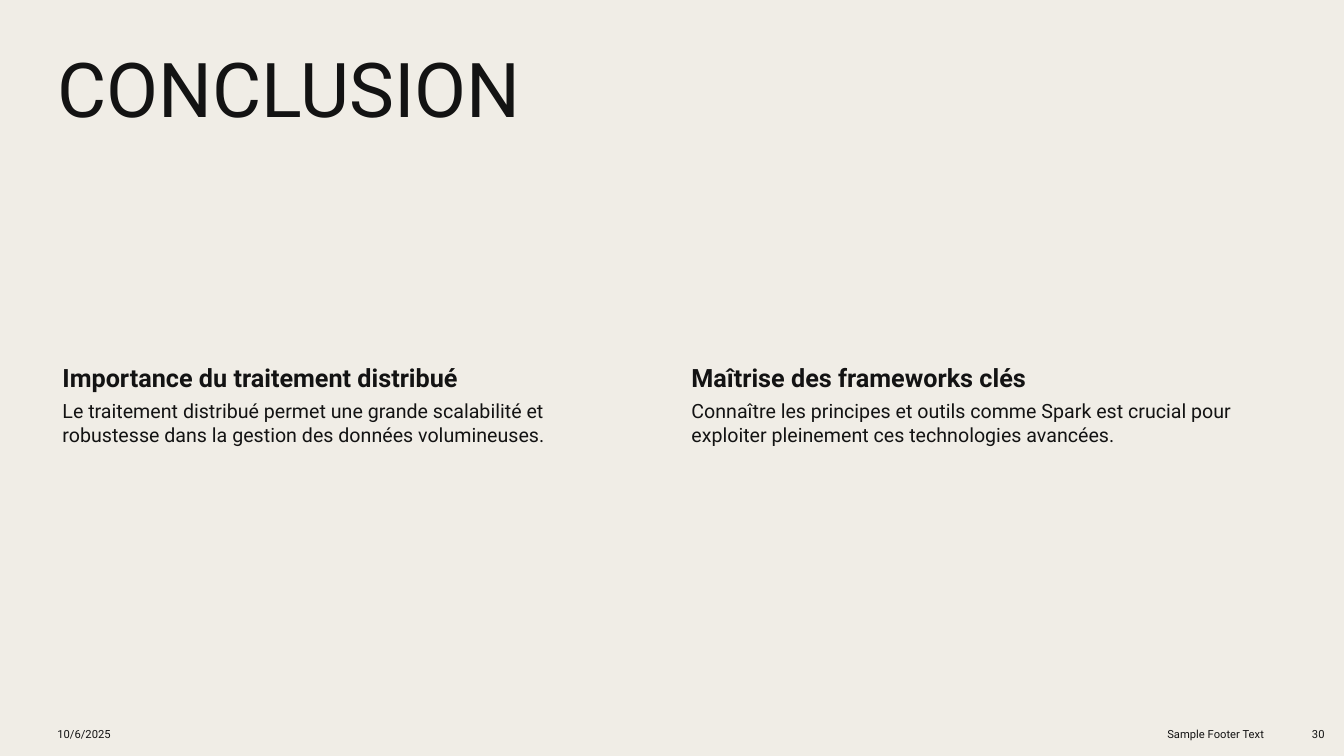
from pptx import Presentation
from pptx.dml.color import RGBColor
from pptx.enum.text import MSO_ANCHOR as Anchor, MSO_AUTO_SIZE as AutoSize, PP_ALIGN as Align
from pptx.util import Pt

TITLE = "CONCLUSION"
COLUMNS = [
    ("Importance du traitement distribué",
     "Le traitement distribué permet une grande scalabilité et robustesse "
     "dans la gestion des données volumineuses."),
    ("Maîtrise des frameworks clés",
     "Connaître les principes et outils comme Spark est crucial pour "
     "exploiter pleinement ces technologies avancées."),
]
FOOTERS = [
    ("10/6/2025", 33.84, 223.92, Align.LEFT),
    ("Sample Footer Text", 700.56, 209.52, Align.RIGHT),
    ("30", 917.28, 36, Align.RIGHT),
]
COLORS = {"background": "F0EDE6", "text": "131313"}
FONT = "Roboto"

LEFT, CONTENT_W, GAP = 33.84, 857.52, 41.04
COLUMN_W = (CONTENT_W - GAP) / len(COLUMNS)
HEAD_TOP, HEAD_H, BODY_H = 257.04, 26.64, 190.8
FOOTER_TOP, FOOTER_H = 511.2, 26.64


def write(sp, text, size, bold=False, align=Align.LEFT, anchor=Anchor.TOP,
          insets=(7.2, 3.6, 7.2, 3.6), spacing=1.0, after=0):
    tf = sp.text_frame
    tf.word_wrap = True
    tf.auto_size = AutoSize.NONE
    tf.vertical_anchor = anchor
    tf.margin_left, tf.margin_top, tf.margin_right, tf.margin_bottom = map(Pt, insets)
    p = tf.paragraphs[0]
    p.alignment = align
    p.line_spacing = spacing
    p.space_after = Pt(after)
    r = p.add_run()
    r.text = text
    r.font.name = FONT
    r.font.size = Pt(size)
    r.font.bold = bold
    r.font.color.rgb = RGBColor.from_string(COLORS["text"])


def add_text(s, box, text, size, **style):
    write(s.shapes.add_textbox(*map(Pt, box)), text, size, **style)


def main():
    prs = Presentation()
    prs.slide_width, prs.slide_height = Pt(960), Pt(540)
    s = prs.slides.add_slide(prs.slide_layouts[5])
    s.background.fill.solid()
    s.background.fill.fore_color.rgb = RGBColor.from_string(COLORS["background"])

    title = s.shapes.title
    title.left, title.top, title.width, title.height = map(Pt, (LEFT, 33.84, CONTENT_W, 128.16))
    write(title, TITLE, 54, spacing=0.9)

    for i, (heading, body) in enumerate(COLUMNS):
        x = LEFT + i * (COLUMN_W + GAP)
        add_text(s, (x, HEAD_TOP, COLUMN_W, HEAD_H), heading, 18,
                 bold=True, insets=(10.8, 2, 2, 2), after=6.3)
        add_text(s, (x, HEAD_TOP + HEAD_H, COLUMN_W, BODY_H), body, 14,
                 insets=(10.8, 1.5, 1.5, 1.5), after=4.9)

    for text, x, width, align in FOOTERS:
        add_text(s, (x, FOOTER_TOP, width, FOOTER_H), text, 8,
                 align=align, anchor=Anchor.MIDDLE, after=6)

    prs.save("out.pptx")


if __name__ == "__main__":
    main()
